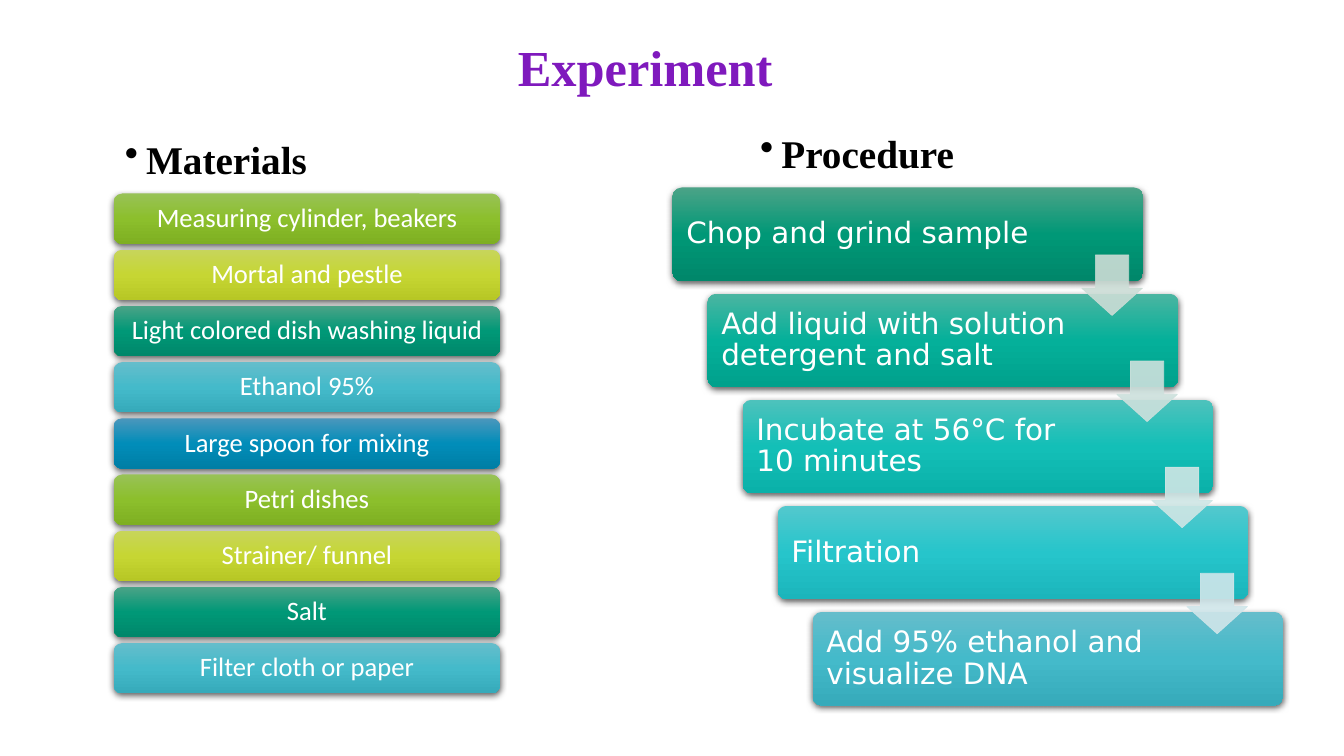
import copy
from dataclasses import dataclass
from itertools import cycle

from lxml import etree
from pptx import Presentation
from pptx import util as u
from pptx.dml.color import RGBColor
from pptx.enum import shapes, text
from pptx.oxml.ns import qn


@dataclass(frozen=True)
class Theme:
    title_color: str = "7F19BD"
    heading_color: str = "000000"
    label_color: str = "FFFFFF"
    heading_font: str = "Times New Roman"
    material_font: str = "Calibri"
    step_font: str = "DejaVu Sans"
    title_size: int = 36
    heading_size: int = 28
    material_size: int = 19
    step_size: int = 21
    # Gradients: top, middle, bottom
    leaf: tuple = ("98C256", "8CBF2C", "7EAF22")
    lime: tuple = ("C7D55B", "C6D633", "B7C725")
    green: tuple = ("4BA387", "009877", "00876A")
    jade: tuple = ("4BB5A1", "05B09A", "00A18C")
    teal: tuple = ("4EC2BC", "13BFB7", "0AB1A9")
    cyan: tuple = ("53C8CD", "26C5CB", "1BB5BB")
    sky: tuple = ("65BDCB", "44BACA", "36AABA")
    blue: tuple = ("4B97BC", "018DB9", "007EA5")
    arrows: tuple = ("CCDDD6", "CDE1DD", "CFE6E5", "D0E6EA")


THEME = Theme()
MATERIALS = [
    "Measuring cylinder, beakers", "Mortal and pestle",
    "Light colored dish washing liquid", "Ethanol 95%",
    "Large spoon for mixing", "Petri dishes", "Strainer/ funnel",
    "Salt", "Filter cloth or paper",
]
STEPS = [
    "Chop and grind sample", "Add liquid with solution detergent and salt",
    "Incubate at 56°C for 10 minutes", "Filtration",
    "Add 95% ethanol and visualize DNA",
]


def add_xml(parent, tag, **attributes):
    return etree.SubElement(parent, qn(tag), attributes)


def inches(box):
    return [u.Inches(length) for length in box]


def write(shape, words, font, size, color, insets, bold=False,
          align=text.PP_ALIGN.LEFT, anchor=text.MSO_ANCHOR.MIDDLE,
          spacing=None, bullet=False):
    frame = shape.text_frame
    frame.word_wrap = True
    frame.vertical_anchor = anchor
    (frame.margin_left, frame.margin_top,
     frame.margin_right, frame.margin_bottom) = inches(insets)
    paragraph = frame.paragraphs[0]
    paragraph.text = words
    paragraph.alignment = align
    if spacing:
        paragraph.line_spacing = spacing
    if bullet:
        properties = paragraph._p.get_or_add_pPr()
        properties.set("marL", str(u.Inches(0.22)))
        properties.set("indent", str(u.Inches(-0.21)))
        add_xml(properties, "a:buChar", char="•")
    paragraph.font.name = font
    paragraph.font.size = u.Pt(size)
    paragraph.font.bold = bold
    paragraph.font.color.rgb = RGBColor.from_string(color)


def add_heading(slide, box, words, insets):
    write(slide.shapes.add_textbox(*inches(box)), words, THEME.heading_font,
          THEME.heading_size, THEME.heading_color, insets, bold=True,
          anchor=text.MSO_ANCHOR.TOP, bullet=True)


def add_card(slide, box, gradient):
    """Rounded card with a vertical gradient and a soft shadow."""
    card = slide.shapes.add_shape(
        shapes.MSO_SHAPE.ROUNDED_RECTANGLE, *inches(box))
    card.line.fill.background()
    card.fill.gradient()
    card.fill.gradient_angle = 270
    stop_list = card._element.spPr.find(".//" + qn("a:gsLst"))
    stop_list.insert(1, copy.deepcopy(stop_list[0]))
    for stop, color, position in zip(
            card.fill.gradient_stops, gradient, (0, 0.5, 1)):
        stop.color.rgb = RGBColor.from_string(color)
        stop.position = position
    card.shadow.inherit = False
    shadow = add_xml(card._element.spPr.find(qn("a:effectLst")),
                     "a:outerShdw", blurRad=str(u.Pt(4.5)),
                     dist=str(u.Pt(1.5)), dir="5400000", rotWithShape="0")
    add_xml(add_xml(shadow, "a:srgbClr", val="000000"), "a:alpha", val="63000")
    return card


def add_arrow(slide, box, color):
    arrow = slide.shapes.add_shape(
        shapes.MSO_SHAPE.DOWN_ARROW, *inches(box))
    arrow.shadow.inherit = False
    arrow.adjustments[0], arrow.adjustments[1] = 0.55, 0.45
    arrow.fill.solid()
    arrow.line.width = u.Pt(0.5)
    for paint in (arrow.fill, arrow.line.fill):
        paint.solid()
        paint.fore_color.rgb = RGBColor.from_string(color)
    for value in arrow._element.spPr.iter(qn("a:srgbClr")):
        add_xml(value, "a:alpha", val="90000")


def add_title(slide, box):
    write(slide.shapes.add_textbox(*inches(box)), "Experiment",
          THEME.heading_font, THEME.title_size, THEME.title_color,
          (0, 0.01, 0, 0), bold=True, align=text.PP_ALIGN.CENTER)


def add_materials(slide, box):
    left, top, width, height = box
    add_heading(slide, (left, top, 2.98, 0.57), "Materials",
                (0.1, 0.05, 0.1, 0.05))
    # Bars share the height below the heading
    bars_top, bar_height = 0.63, 0.5
    pitch = (height - bars_top - bar_height) / (len(MATERIALS) - 1)
    colors = cycle(
        (THEME.leaf, THEME.lime, THEME.green, THEME.sky, THEME.blue))
    for row, (material, gradient) in enumerate(zip(MATERIALS, colors)):
        bar = add_card(slide, (left, top + bars_top + row * pitch,
                               width, bar_height), gradient)
        write(bar, material, THEME.material_font, THEME.material_size,
              THEME.label_color, (0.1, 0.08, 0.1, 0.08),
              align=text.PP_ALIGN.CENTER, spacing=0.9)


def add_procedure(slide, box):
    left, top, width, height = box
    add_heading(slide, (left + 0.86, top, 2.48, 0.49), "Procedure",
                (0, 0.01, 0, 0))
    # Steps run diagonally to the lower right corner of the box
    steps_top, step_width, step_height = 0.59, 4.67, 0.93
    gaps = len(STEPS) - 1
    shift = (width - step_width) / gaps
    pitch = (height - steps_top - step_height) / gaps
    corners = [(left + row * shift, top + steps_top + row * pitch)
               for row in range(len(STEPS))]
    gradients = (THEME.green, THEME.jade, THEME.teal, THEME.cyan, THEME.sky)
    for (x, y), step, gradient in zip(corners, STEPS, gradients):
        card = add_card(slide, (x, y, step_width, step_height), gradient)
        card.adjustments[0] = 0.1
        write(card, step, THEME.step_font, THEME.step_size,
              THEME.label_color, (0.11, 0.09, 1.08, 0.09), spacing=0.9)
    # Arrows overlap each step and the next
    for (x, y), color in zip(corners, THEME.arrows):
        add_arrow(slide, (x + 4.06, y + 0.67, 0.6, 0.6), color)


def main():
    presentation = Presentation()
    presentation.slide_width = u.Inches(13.33)
    presentation.slide_height = u.Inches(7.5)
    slide = presentation.slides.add_slide(presentation.slide_layouts[6])
    add_title(slide, (4.61, 0.34, 3.58, 0.62))
    add_materials(slide, (1.13, 1.29, 3.83, 5.59))
    add_procedure(slide, (6.67, 1.27, 6.06, 5.73))
    presentation.save("out.pptx")


if __name__ == "__main__":
    main()
